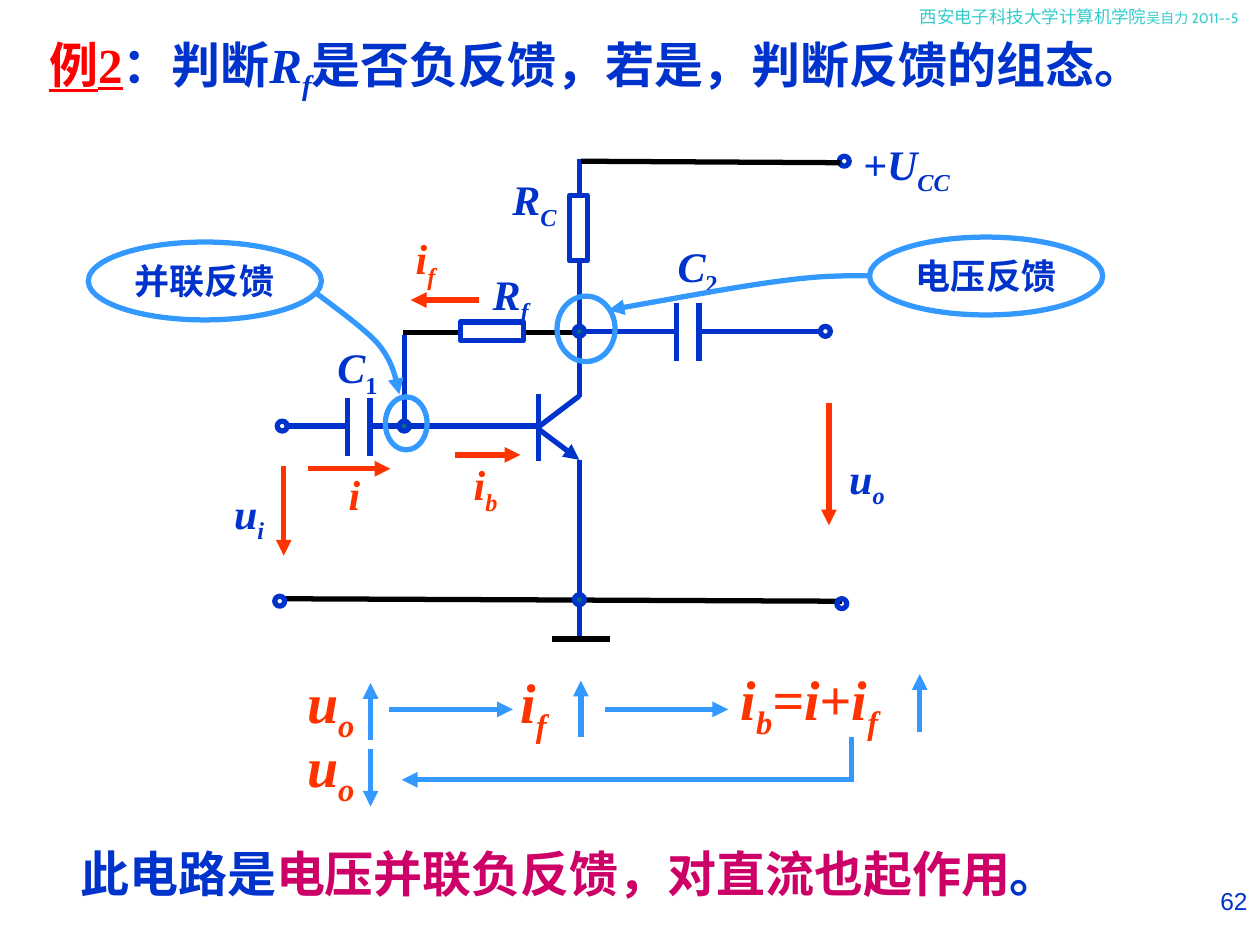
from lxml import etree
from pptx import Presentation
from pptx import util as u
from pptx.dml import color
from pptx.enum import shapes, text
from pptx.oxml import ns

BLUE, SKY, RED = "0033CC", "3399FF", "FF3300"
BLACK, WHITE, DOT = "000000", "FFFFFF", "007572"
SERIF = "Times New Roman"


def rgb(code):
    return color.RGBColor.from_string(code)


def box(*lengths):
    return [u.Cm(length) for length in lengths]


def style_line(line, code, arrow=False):
    line.color.rgb = rgb(code)
    line.width = u.Pt(3)
    if arrow:
        tail = etree.SubElement(line._get_or_add_ln(), ns.qn("a:tailEnd"))
        tail.set("type", "triangle")


def add_line(slide, code, x1, y1, x2, y2, arrow=False):
    wire = slide.shapes.add_connector(shapes.MSO_CONNECTOR.STRAIGHT, *box(x1, y1, x2, y2))
    style_line(wire.line, code, arrow)
    etree.SubElement(wire._element.spPr, ns.qn("a:effectLst"))


def add_outline(slide, kind, place, code, fill=None):
    outline = slide.shapes.add_shape(kind, *box(*place))
    outline.shadow.inherit = False
    if fill:
        outline.fill.solid()
        outline.fill.fore_color.rgb = rgb(fill)
    else:
        outline.fill.background()
    style_line(outline.line, code)
    return outline


def add_node(slide, x, y, fill=None):
    add_outline(slide, shapes.MSO_SHAPE.OVAL, (x - 0.1, y - 0.1, 0.2, 0.2), BLUE, fill)


def add_resistor(slide, *place):
    add_outline(slide, shapes.MSO_SHAPE.RECTANGLE, place, BLUE, WHITE)


def add_capacitor(slide, x, y):
    gap = (x + 0.05, y + 0.05, 0.36, 1.07)
    add_outline(slide, shapes.MSO_SHAPE.RECTANGLE, gap, WHITE, WHITE)
    for plate in (x, x + 0.45):
        add_line(slide, BLUE, plate, y, plate, y + 1.17)


def style_font(font, size, code, bold=True, italic=False, name=SERIF):
    font.size = u.Pt(size)
    font.name = name
    font.bold = bold
    font.italic = italic
    font.color.rgb = rgb(code)


def add_run(paragraph, words, code=None):
    run = paragraph.add_run()
    run.text = words
    if code:
        run.font.color.rgb = rgb(code)
    return run


def add_symbols(paragraph, parts):
    for position, part in enumerate(parts):
        run = add_run(paragraph, part)
        run.font.italic = not part.isdigit()
        if position % 2:
            run._r.get_or_add_rPr().set("baseline", "-25000")


def add_text(slide, *place):
    frame = slide.shapes.add_textbox(*box(*place)).text_frame
    frame.word_wrap = True
    return frame.paragraphs[0]


def add_label(slide, x, y, parts, code=BLUE, size=24, width=2.57):
    label = add_text(slide, x, y, width, 1.42 if size == 24 else 1.8)
    style_font(label.font, size, code, italic=True)
    add_symbols(label, parts)


def bezier(points, steps=12):
    for start in range(0, len(points) - 1, 3):
        a, b, c, d = points[start:start + 4]
        for step in range(1, steps + 1):
            t = step / steps
            s = 1 - t
            yield tuple(box(*(s**3 * p + 3 * s * s * t * q + 3 * s * t * t * r + t**3 * e
                              for p, q, r, e in zip(a, b, c, d))))


def add_callout(slide, words, place, ring, points):
    add_outline(slide, shapes.MSO_SHAPE.OVAL, ring, SKY)
    builder = slide.shapes.build_freeform(*box(*points[0]))
    builder.add_line_segments(list(bezier(points)), close=False)
    pointer = builder.convert_to_shape()
    pointer.shadow.inherit = False
    pointer.fill.background()
    style_line(pointer.line, SKY, arrow=True)
    frame = add_outline(slide, shapes.MSO_SHAPE.OVAL, place, SKY, WHITE).text_frame
    frame.word_wrap = False
    frame.vertical_anchor = text.MSO_ANCHOR.MIDDLE
    caption = frame.paragraphs[0]
    caption.alignment = text.PP_ALIGN.CENTER
    style_font(caption.font, 20, BLUE)
    add_run(caption, words)


def add_heading(slide):
    title = slide.shapes.title
    title.left, title.top, title.width, title.height = box(0.74, 0.56, 22.61, 1.6)
    frame = title.text_frame
    frame.word_wrap = True
    frame.auto_size = text.MSO_AUTO_SIZE.NONE
    frame.vertical_anchor = text.MSO_ANCHOR.TOP
    question = frame.paragraphs[0]
    question.alignment = text.PP_ALIGN.LEFT
    style_font(question.font, 28, BLUE)
    add_run(question, "例2", "FF0000").font.underline = True
    add_run(question, "：判断")
    add_symbols(question, ["R", "f"])
    add_run(question, "是否负反馈，若是，判断反馈的组态。")


def add_circuit(slide):
    for wire in [(5.72, 12.07, 16.97, 12.12), (11.66, 6.71, 8.13, 6.71)]:
        add_line(slide, BLACK, *wire)
    for wire in [(10.85, 7.95, 10.85, 9.3), (10.85, 8.61, 11.68, 7.98),
                 (11.68, 9.27, 11.68, 12.93), (11.68, 8, 11.68, 3.2),
                 (10.85, 8.59, 5.74, 8.59), (8.15, 8.53, 8.15, 6.76),
                 (11.68, 6.68, 16.59, 6.68)]:
        add_line(slide, BLUE, *wire)
    add_line(slide, BLUE, 10.87, 8.66, 11.68, 9.27, arrow=True)
    for junction in [(11.68, 6.68), (8.15, 8.59), (11.68, 12.09)]:
        add_node(slide, *junction, DOT)
    for terminal in [(16.97, 12.17), (16.64, 6.68), (17.02, 3.25), (5.69, 8.59), (5.64, 12.12)]:
        add_node(slide, *terminal)
    add_resistor(slide, 11.48, 3.94, 0.36, 1.32)
    add_resistor(slide, 9.28, 6.49, 1.27, 0.38)
    add_capacitor(slide, 7.01, 8.03)
    add_capacitor(slide, 13.64, 6.1)
    add_line(slide, BLACK, 11.71, 3.25, 16.94, 3.28)
    add_line(slide, BLACK, 11.13, 12.88, 12.29, 12.88)
    add_label(slide, 17.15, 2.67, ["+U", "CC"], width=3.56)
    for x, y, parts in [(10.08, 3.38, "RC"), (13.41, 4.72, "C2"), (6.55, 6.76, "C1"),
                        (9.68, 5.28, "Rf"), (4.47, 9.7, "ui"), (16.87, 8.99, "uo")]:
        add_label(slide, x, y, parts)
    for x, y, parts in [(6.78, 9.32, "i"), (9.3, 9.12, "ib"), (8.13, 4.57, "if")]:
        add_label(slide, x, y, parts, RED)
    for flow in [(5.72, 9.4, 5.72, 11.2), (16.71, 8.13, 16.71, 10.59), (6.2, 9.45, 7.87, 9.45),
                 (9.17, 9.17, 10.49, 9.17), (9.65, 6.05, 8.28, 6.05)]:
        add_line(slide, RED, *flow, arrow=True)


def add_reasoning(slide):
    for x, y, parts, width in [(5.94, 13.34, "uo", 2.77), (10.24, 13.34, "if", 2.77),
                               (14.68, 13.28, ["i", "b", "=i+i", "f"], 6.17),
                               (5.94, 14.63, "uo", 2.77)]:
        add_label(slide, x, y, parts, RED, 32, width)
    for step in [(7.85, 14.3, 10.34, 14.3), (7.47, 14.91, 7.47, 13.77), (12.19, 14.3, 14.68, 14.3),
                 (11.71, 14.86, 11.71, 13.72), (18.54, 14.76, 18.54, 13.59),
                 (7.47, 15.09, 7.47, 16.26), (17.22, 15.72, 8.1, 15.72)]:
        add_line(slide, SKY, *step, arrow=True)
    add_line(slide, SKY, 17.17, 15.72, 17.17, 14.86)


def add_conclusion(slide):
    conclusion = add_text(slide, 1.37, 16.87, 21.06, 1.45)
    style_font(conclusion.font, 28, BLUE)
    add_run(conclusion, "此电路是")
    add_run(conclusion, "电压并联负反馈，对直流也起作用", "CC0066")
    add_run(conclusion, "。")


def add_margins(slide):
    author = add_text(slide, 18.29, 0, 7.11, 1.02)
    style_font(author.font, 10, "33CCCC", bold=False, name="Cabin")
    add_run(author, "西安电子科技大学计算机学院")
    add_run(author, "吴自力 2011--5").font.size = u.Pt(8)
    number = add_text(slide, 19.05, 17.73, 6.35, 1.32)
    number.alignment = text.PP_ALIGN.RIGHT
    style_font(number.font, 14, BLUE, bold=False, name="Arial")
    add_run(number, "62")


def main():
    deck = Presentation()
    deck.slide_width, deck.slide_height = box(25.4, 19.05)
    slide = deck.slides.add_slide(deck.slide_layouts[5])
    add_margins(slide)
    add_heading(slide)
    add_circuit(slide)
    add_callout(slide, "电压反馈", (17.53, 4.78, 4.7, 1.57), (11.23, 5.97, 1.17, 1.32),
                [(17.53, 5.56), (17.22, 5.56), (16.64, 5.54), (15.77, 5.66),
                 (14.88, 5.77), (13.59, 6.02), (12.27, 6.25)])
    add_callout(slide, "并联反馈", (1.78, 4.88, 4.7, 1.57), (7.77, 8, 0.84, 1.07),
                [(6.2, 5.77), (6.43, 5.97), (7.32, 6.58), (7.62, 6.93),
                 (7.92, 7.29), (7.98, 7.62), (8.05, 7.95)])
    add_reasoning(slide)
    add_conclusion(slide)
    deck.save("out.pptx")


if __name__ == "__main__":
    main()
